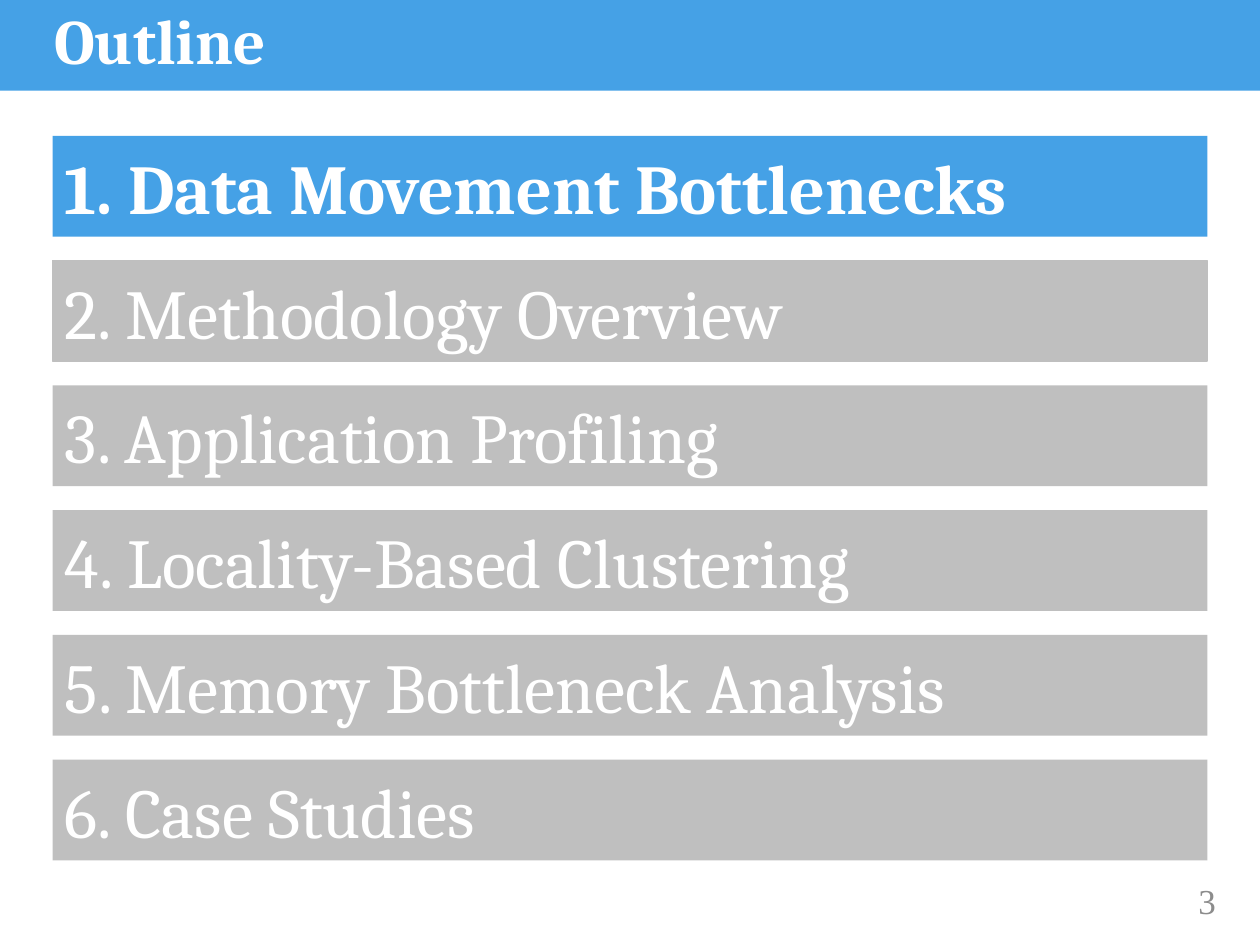
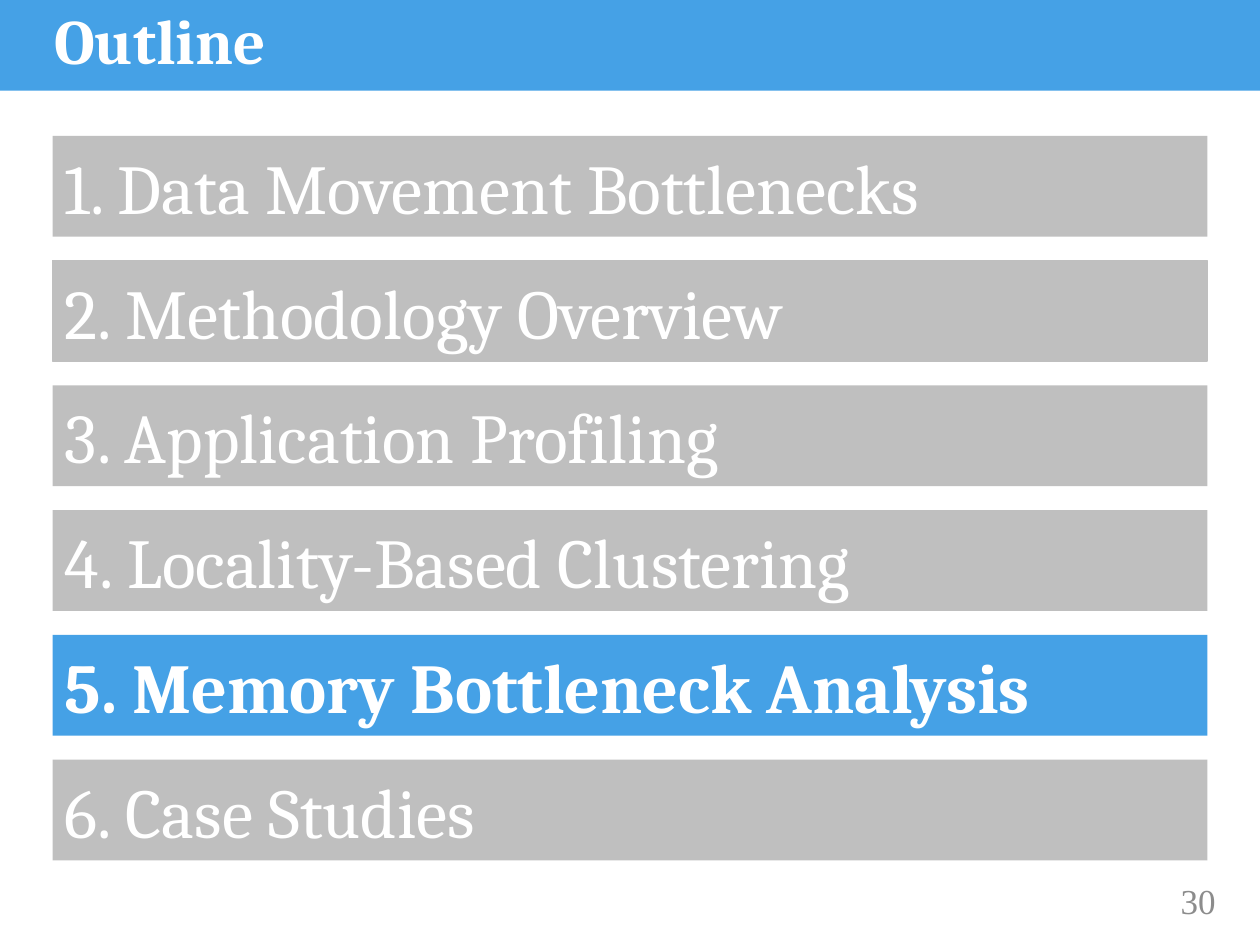
from pptx import Presentation
from pptx.dml.color import RGBColor
from pptx.enum.shapes import MSO_SHAPE
from pptx.enum.text import MSO_ANCHOR, MSO_AUTO_SIZE, PP_ALIGN
from pptx.util import Cm, Pt

RECT = MSO_SHAPE.RECTANGLE
TOP, MIDDLE = MSO_ANCHOR.TOP, MSO_ANCHOR.MIDDLE
LEFT, RIGHT = PP_ALIGN.LEFT, PP_ALIGN.RIGHT
NO_AUTOFIT = MSO_AUTO_SIZE.NONE
TITLE_ONLY = 5

# Shared look
COLORS = {"blue": "45A1E6", "gray": "BFBFBF", "white": "FFFFFF", "number": "8C8C8C"}
TITLE_FONT = {"name": "Cambria", "size": Pt(36), "bold": True}
NUMBER_FONT = {"name": "Times New Roman", "size": Pt(20), "bold": False}
SECTION_FONT = {"name": "Cambria", "size": Pt(40), "bold": False}

# Section bars: position of the first one and the step to the next
BAR_LEFT, BAR_TOP, BAR_WIDTH, BAR_HEIGHT = 1.06, 2.74, 23.28, 2.03
BAR_STEP = 2.515
OUTLINED = 2

SECTIONS = [
    "Data Movement Bottlenecks",
    "Methodology Overview",
    "Application Profiling",
    "Locality-Based Clustering",
    "Memory Bottleneck Analysis",
    "Case Studies",
]

# Page number and highlighted section of each outline slide
OUTLINES = [(3, 1), (30, 5)]


def rgb(color):
    return RGBColor.from_string(COLORS[color])


def write(sp, text, font, color, anchor=MIDDLE, align=LEFT):
    tf = sp.text_frame
    tf.word_wrap = True
    tf.auto_size = NO_AUTOFIT
    tf.vertical_anchor = anchor
    p = tf.paragraphs[0]
    p.alignment = align
    r = p.add_run()
    r.text = text
    for key, value in font.items():
        setattr(r.font, key, value)
    r.font.color.rgb = rgb(color)
    return p


def add_bar(shapes, left, top, width, height, color):
    sp = shapes.add_shape(RECT, Cm(left), Cm(top), Cm(width), Cm(height))
    sp.shadow.inherit = False
    sp.fill.solid()
    sp.fill.fore_color.rgb = rgb(color)
    sp.line.fill.background()
    return sp


def add_title(slide, text):
    title = slide.shapes.title
    title.left, title.top, title.width, title.height = Cm(0.84), Cm(0.08), Cm(22.86), Cm(2.46)
    p = write(title, text, TITLE_FONT, "white", TOP)
    p.line_spacing = 0.9
    # The band lies behind the title
    band = add_bar(slide.shapes, 0, -0.08, 25.4, 1.91, "blue")
    title.element.addprevious(band.element)


def add_page_number(slide, number):
    sp = slide.shapes.add_textbox(Cm(22.02), Cm(17.65), Cm(2.74), Cm(1.02))
    write(sp, str(number), NUMBER_FONT, "number", align=RIGHT)


def add_sections(slide, current):
    group = slide.shapes.add_group_shape()
    for i, name in enumerate(SECTIONS, 1):
        active = i == current
        top = BAR_TOP + (i - 1) * BAR_STEP
        sp = add_bar(group.shapes, BAR_LEFT, top, BAR_WIDTH, BAR_HEIGHT,
                     "blue" if active else "gray")
        if i == OUTLINED:
            sp.line.color.rgb = rgb("gray")
            sp.line.width = Pt(1)
        write(sp, f"{i}. {name}", {**SECTION_FONT, "bold": active}, "white")


def main():
    prs = Presentation()
    prs.slide_width, prs.slide_height = Cm(25.4), Cm(19.05)
    for number, current in OUTLINES:
        slide = prs.slides.add_slide(prs.slide_layouts[TITLE_ONLY])
        add_title(slide, "Outline")
        add_page_number(slide, number)
        add_sections(slide, current)
    prs.save("out.pptx")


if __name__ == "__main__":
    main()
